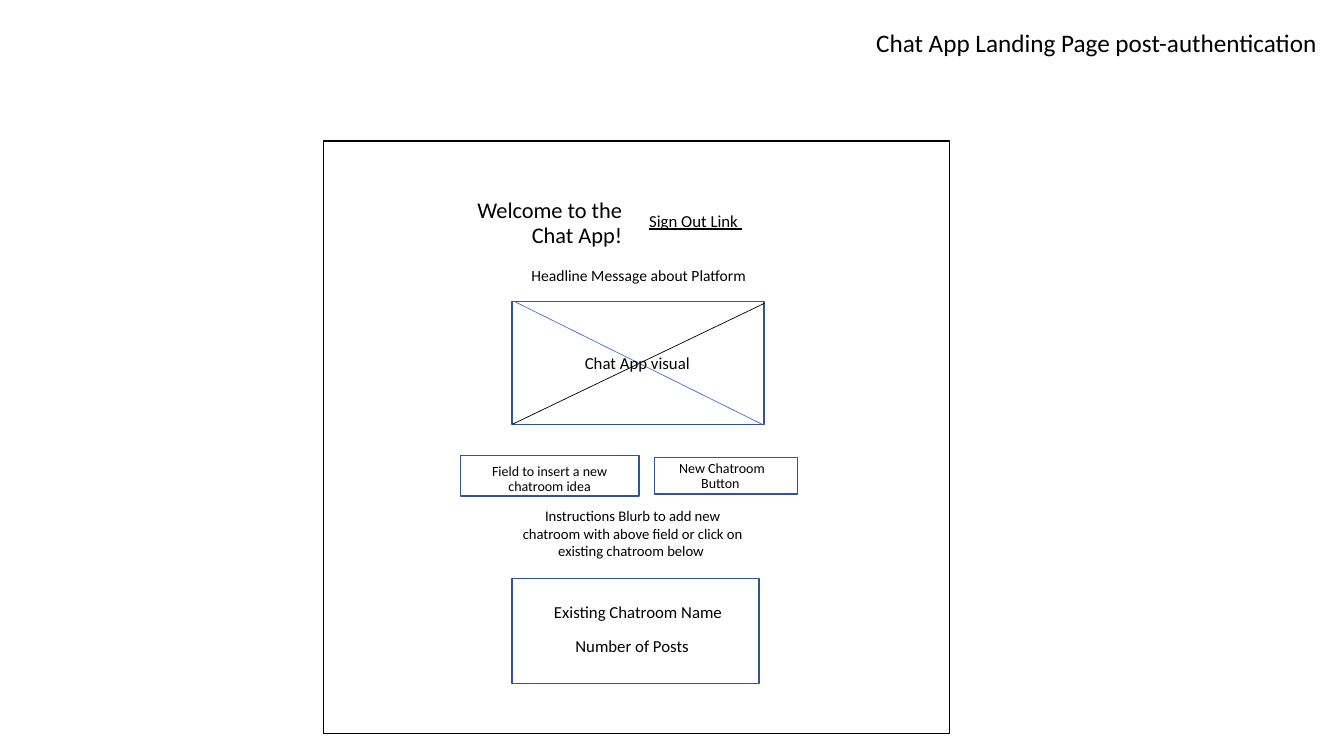
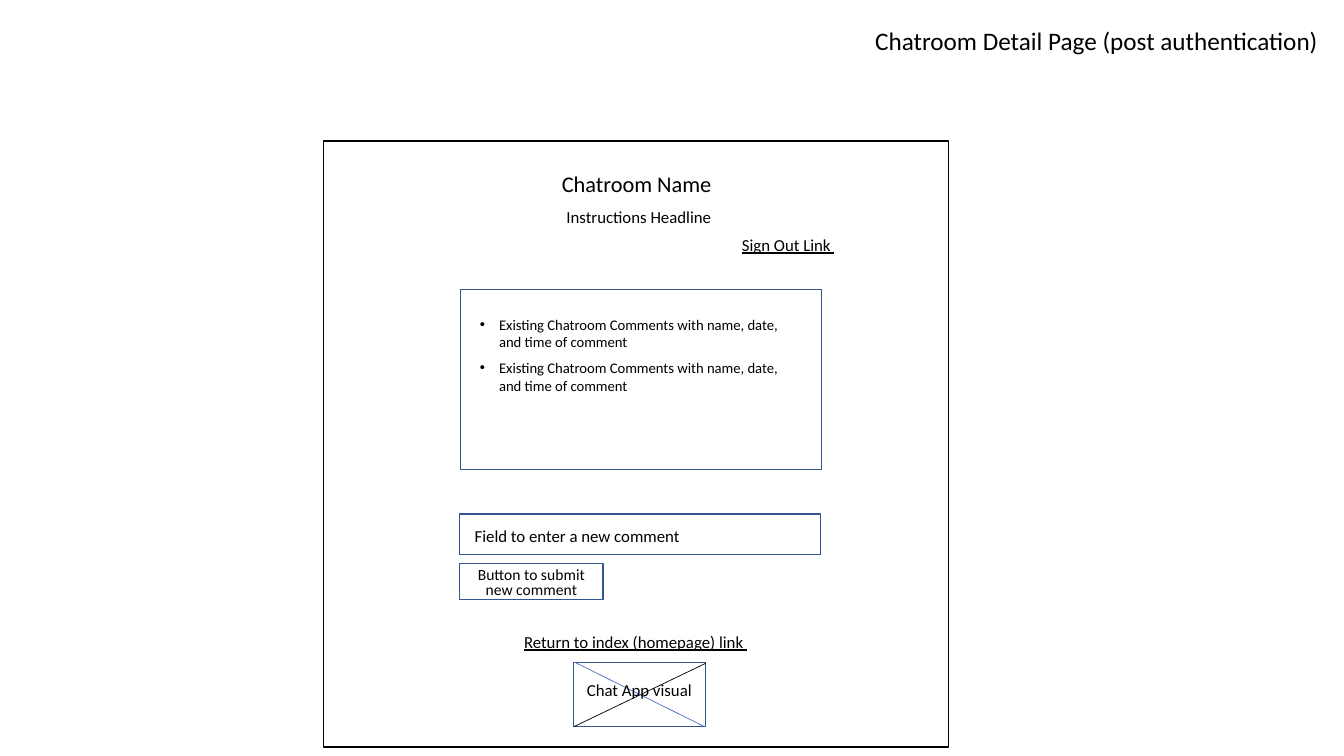
from lxml import etree
from pptx import Presentation, util as u
from pptx.dml.color import RGBColor
from pptx.enum import shapes, text as t
from pptx.oxml.ns import qn

COLORS = {"ink": "000000", "outline": "325491", "diagonal": "4472C4"}
ALIGN = {"left": t.PP_ALIGN.LEFT, "center": t.PP_ALIGN.CENTER, "right": t.PP_ALIGN.RIGHT}


def write(frame, *lines, size=12, align="center", spacing=0.9, before=10,
          underline=None, wrap=True, anchor=t.MSO_ANCHOR.TOP, hanging=0):
    """Fill a text frame with one formatted paragraph per line."""
    frame.auto_size = t.MSO_AUTO_SIZE.NONE
    frame.word_wrap = wrap
    frame.vertical_anchor = anchor
    for index, line in enumerate(lines):
        paragraph = frame.add_paragraph() if index else frame.paragraphs[0]
        paragraph.alignment = ALIGN[align]
        paragraph.line_spacing = spacing
        paragraph.space_before = u.Pt(before)
        if hanging:
            properties = paragraph._p.get_or_add_pPr()
            properties.set("marL", str(u.Inches(hanging)))
            properties.set("indent", str(-u.Inches(hanging)))
        run = paragraph.add_run()
        run.text = line
        run.font.name = "Calibri"
        run.font.size = u.Pt(size)
        run.font.underline = underline
        run.font.color.rgb = RGBColor.from_string(COLORS["ink"])


class Wireframe:
    """Shared wireframe style and the slide being drawn."""

    def __init__(self):
        self.presentation = Presentation()
        self.presentation.slide_width = u.Inches(13.33)
        self.presentation.slide_height = u.Inches(7.5)
        self.slide = None

    def page(self, title, left, top, width, layout=5):
        """Start a slide with its heading in the top right corner."""
        self.slide = self.presentation.slides.add_slide(
            self.presentation.slide_layouts[layout])
        self.place(self.slide.shapes.title, left, top, width, 0.4)
        write(self.slide.shapes.title.text_frame, title, size=18, align="left",
              spacing=1.0, before=0, wrap=False)

    def place(self, shape, left, top, width, height):
        """Move and size a placeholder."""
        shape.left, shape.top = u.Inches(left), u.Inches(top)
        shape.width, shape.height = u.Inches(width), u.Inches(height)

    def bullets(self, left, top, width, height, *lines):
        """Put a bulleted list in the body placeholder."""
        body = self.slide.placeholders[1]
        self.place(body, left, top, width, height)
        write(body.text_frame, *lines, size=10.5, align="left", spacing=1.0,
              before=6, hanging=0.19)

    def label(self, words, left, top, width=1.42, height=0.4, **style):
        """Add a text box."""
        box = self.slide.shapes.add_textbox(*map(u.Inches, (left, top, width, height)))
        write(box.text_frame, words, **style)

    def box(self, left, top, width, height, color="outline"):
        """Add an unfilled rectangle."""
        shape = self.slide.shapes.add_shape(
            shapes.MSO_SHAPE.RECTANGLE, *map(u.Inches, (left, top, width, height)))
        shape.shadow.inherit = False
        shape.fill.background()
        shape.line.color.rgb = RGBColor.from_string(COLORS[color])
        shape.line.width = u.Pt(1)

    def line(self, x1, y1, x2, y2, color):
        """Add a thin straight line."""
        connector = self.slide.shapes.add_connector(
            shapes.MSO_CONNECTOR.STRAIGHT, *map(u.Inches, (x1, y1, x2, y2)))
        connector.line.color.rgb = RGBColor.from_string(COLORS[color])
        connector.line.width = u.Pt(0.5)
        etree.SubElement(connector._element.spPr, qn("a:effectLst"))

    def visual(self, left, top, width, height, inset):
        """Add a crossed box standing for an image."""
        right, bottom = left + width, top + height
        self.box(left, top, width, height)
        self.line(left, bottom, right, top + inset, "ink")
        self.line(left + inset, top, right - inset, bottom, "diagonal")


wireframe = Wireframe()

wireframe.page("Chat App Landing Page post-authentication", 8.59, 0.22, 4.63)
wireframe.box(3.21, 1.4, 6.21, 5.88, "ink")
wireframe.label("Welcome to the Chat App!", 4.61, 1.51, 1.66, 1, size=16,
                align="right", before=0, anchor=t.MSO_ANCHOR.BOTTOM)
wireframe.label("Sign Out Link ", 6.34, 2.06, align="left", underline=True)
wireframe.label("Headline Message about Platform", 5.11, 2.61, 2.45, size=11.1)
wireframe.visual(5.08, 2.99, 2.5, 1.22, 0.02)
wireframe.label("Chat App visual ", 5.63, 3.47)
wireframe.box(4.57, 4.52, 1.77, 0.4)
wireframe.label("Field to insert a new chatroom idea", 4.74, 4.56, size=10)
wireframe.box(6.49, 4.54, 1.42, 0.36)
wireframe.label("New Chatroom Button ", 6.45, 4.53, size=10)
wireframe.label("Instructions Blurb to add new chatroom with above field or click on "
                "existing chatroom below ", 5.05, 4.98, 2.45, 0.63,
                size=10.5, spacing=1.0, before=0)
wireframe.box(5.08, 5.74, 2.45, 1.04)
wireframe.label("Existing Chatroom Name", 5.37, 5.92, 1.89, 0.3, align="right",
                spacing=1.0, before=0, wrap=False)
wireframe.label("Number of Posts", 5.6, 6.26, 1.34, 0.3, spacing=1.0, before=0,
                wrap=False)

wireframe.page("Chatroom Detail Page (post authentication)", 8.58, 0.2, 4.65, layout=1)
wireframe.box(3.21, 1.4, 6.2, 6.01, "ink")
wireframe.label("Chatroom Name ", 4.64, 1.67, 3.4, 0.51, size=16, before=0)
wireframe.label("Instructions Headline ", 5.13, 2.02, 2.45)
wireframe.label("Sign Out Link ", 7.26, 2.3, align="left", underline=True)
wireframe.box(4.57, 2.87, 3.58, 1.79)
wireframe.bullets(4.66, 3.08, 3.29, 1.07,
                  *["Existing Chatroom Comments with name, date, and time of comment"] * 2)
wireframe.box(4.56, 5.1, 3.58, 0.4)
wireframe.label("Field to enter a new comment ", 4.61, 5.19, 3.07, align="left")
wireframe.box(4.56, 5.59, 1.42, 0.36)
wireframe.label("Button to submit new comment", 4.56, 5.59, size=11.1, spacing=0.8)
wireframe.label("Return to index (homepage) link ", 5.05, 6.24, 2.51, underline=True)
wireframe.visual(5.69, 6.57, 1.31, 0.64, 0.01)
wireframe.label("Chat App visual ", 5.65, 6.72)

wireframe.presentation.save("out.pptx")
